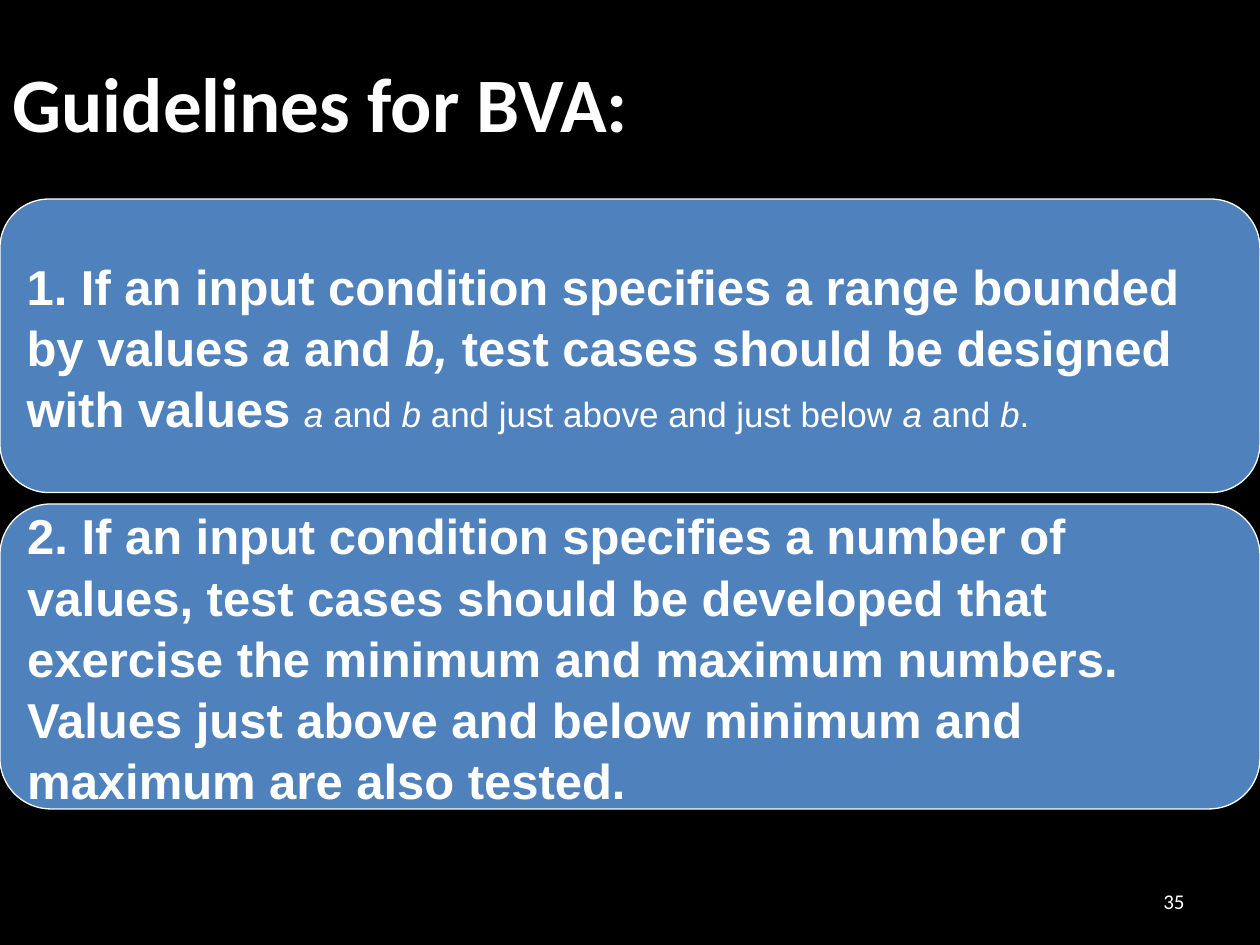
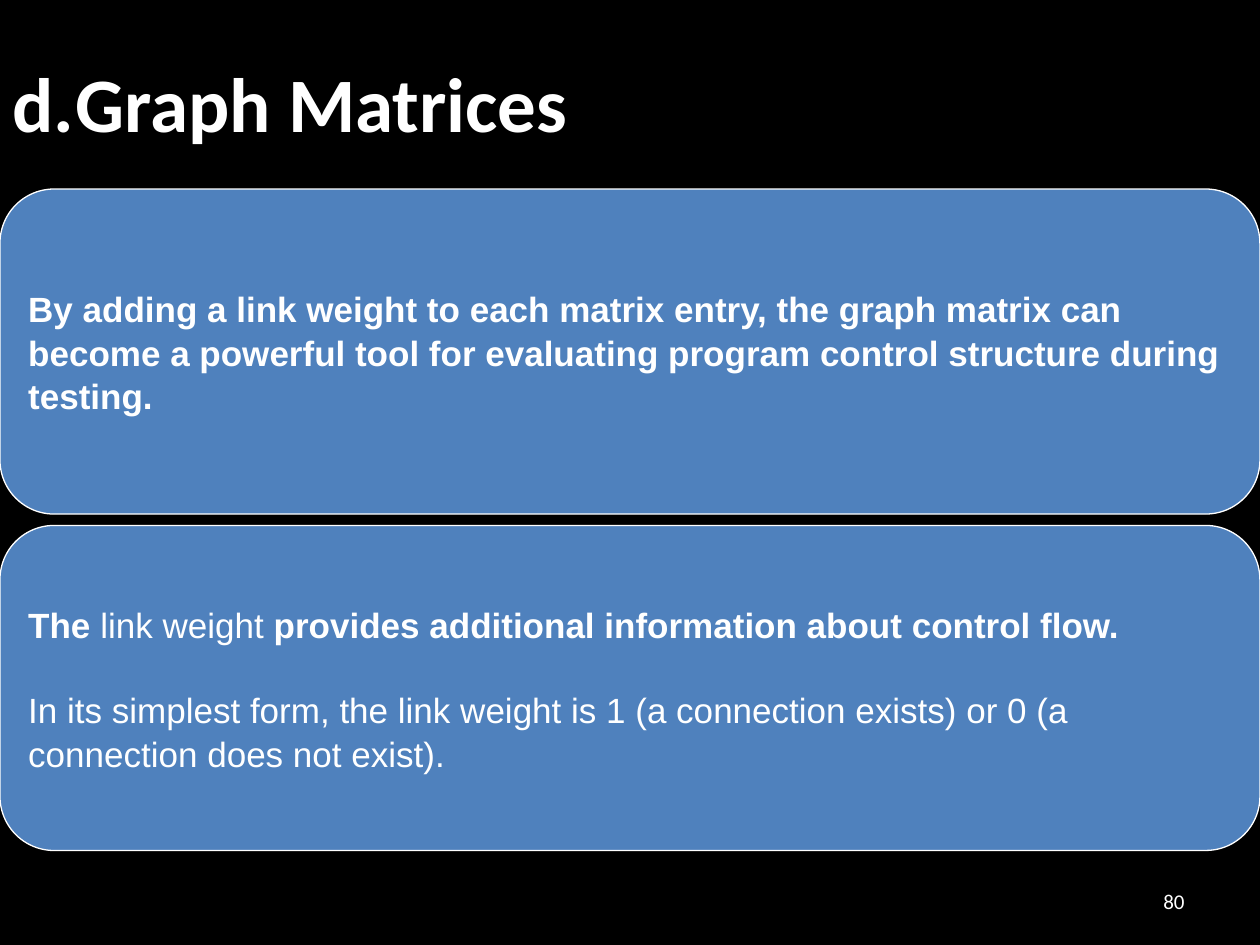
from dataclasses import dataclass

from pptx import Presentation
from pptx.dml.color import RGBColor
from pptx.enum.shapes import MSO_SHAPE
from pptx.enum.text import MSO_ANCHOR, PP_ALIGN
from pptx.util import Inches, Pt


@dataclass(frozen=True)
class Theme:
    """Colours, fonts and type sizes shared by the slides."""
    background: RGBColor = RGBColor(0x00, 0x00, 0x00)
    card: RGBColor = RGBColor(0x4F, 0x81, 0xBD)
    text: RGBColor = RGBColor(0xFF, 0xFF, 0xFF)
    heading_font: str = "Calibri"
    body_font: str = "Arial"
    title_size: int = 44
    large_size: int = 28
    body_size: int = 20
    number_size: int = 12
    line_spacing: float = 1.04
    paragraph_gap: int = 24


THEME = Theme()
TITLE_ONLY_LAYOUT = 5
CARD_COLUMNS = 120
CARD_GAP = 1


def grid(units):
    """Return the length of a number of grid units, twelve to the inch."""
    return Inches(round(units / 12, 2))


def place(shape, left, top, width, height):
    """Move and size a shape in grid units."""
    shape.left, shape.top = grid(left), grid(top)
    shape.width, shape.height = grid(width), grid(height)


def add_text(paragraph, text, font=THEME.body_font, size=THEME.body_size, bold=False, italic=False):
    """Append one formatted run to a paragraph."""
    run = paragraph.add_run()
    run.text = text
    run.font.name = font
    run.font.size = Pt(size)
    run.font.bold = bold
    run.font.italic = italic
    run.font.color.rgb = THEME.text


def add_title(slide, text):
    """Fill the title placeholder with a left-aligned heading."""
    title = slide.shapes.title
    place(title, 0, 0, 102, 19.3)
    frame = title.text_frame
    frame.vertical_anchor = MSO_ANCHOR.MIDDLE
    paragraph = frame.paragraphs[0]
    paragraph.alignment = PP_ALIGN.LEFT
    add_text(paragraph, text, font=THEME.heading_font, size=THEME.title_size, bold=True)


def add_page_number(slide, number):
    """Put the page number at the lower right."""
    box = slide.shapes.add_textbox(0, 0, 0, 0)
    place(box, 86, 83.4, 28, 4.8)
    frame = box.text_frame
    frame.word_wrap = True
    frame.vertical_anchor = MSO_ANCHOR.MIDDLE
    paragraph = frame.paragraphs[0]
    paragraph.alignment = PP_ALIGN.RIGHT
    add_text(paragraph, str(number), font=THEME.heading_font, size=THEME.number_size)


def add_card(slide, top, height, paragraphs):
    """Draw a full-width rounded card holding paragraphs of formatted runs."""
    card = slide.shapes.add_shape(MSO_SHAPE.ROUNDED_RECTANGLE, 0, 0, 0, 0)
    place(card, 0, top, CARD_COLUMNS, height)
    card.shadow.inherit = False
    card.fill.solid()
    card.fill.fore_color.rgb = THEME.card
    card.line.color.rgb = THEME.text
    card.line.width = Pt(0.75)
    frame = card.text_frame
    frame.word_wrap = True
    frame.vertical_anchor = MSO_ANCHOR.MIDDLE
    for index, runs in enumerate(paragraphs):
        paragraph = frame.add_paragraph() if index else frame.paragraphs[0]
        paragraph.alignment = PP_ALIGN.LEFT
        paragraph.line_spacing = THEME.line_spacing
        if index:
            paragraph.space_before = Pt(THEME.paragraph_gap)
        for text, style in runs:
            add_text(paragraph, text, **style)


def add_card_slide(presentation, title, number, top, cards):
    """Add a slide with a title, a page number and stacked cards."""
    slide = presentation.slides.add_slide(presentation.slide_layouts[TITLE_ONLY_LAYOUT])
    add_title(slide, title)
    add_page_number(slide, number)
    for height, paragraphs in cards:
        add_card(slide, top, height, paragraphs)
        top += height + CARD_GAP


def main():
    """Build and save the presentation."""
    presentation = Presentation()
    presentation.slide_width, presentation.slide_height = Inches(10), Inches(7.5)
    background = presentation.slide_master.background.fill
    background.solid()
    background.fore_color.rgb = THEME.background

    plain = {}
    bold = {"bold": True}
    italic = {"italic": True}
    large = {"bold": True, "size": THEME.large_size}
    large_italic = {**large, **italic}

    range_rule = [
        ("1. If an input condition specifies a range bounded by values ", large),
        ("a ", large_italic), ("and ", large), ("b, ", large_italic),
        ("test cases should be designed with values ", large),
        ("a ", italic), ("and ", plain), ("b ", italic),
        ("and just above and just below ", plain),
        ("a ", italic), ("and ", plain), ("b", italic), (".", plain),
    ]
    count_rule = [
        ("2. If an input condition specifies a number of values, test cases should be "
         "developed that exercise the minimum and maximum numbers. Values just above "
         "and below minimum and maximum are also tested.", large),
    ]
    add_card_slide(presentation, "Guidelines for BVA:", 35, 19,
                   [(28, [range_rule]), (29, [count_rule])])

    matrix_use = [
        ("By adding a link weight to each matrix entry, the graph matrix can become a "
         "powerful tool for evaluating program control structure during testing.", bold),
    ]
    weight_role = [
        ("The ", bold), ("link weight", plain),
        (" provides additional information about control flow.", bold),
    ]
    weight_values = [
        ("In its simplest form, the link weight is 1 (a connection exists) or 0 "
         "(a connection does not exist).", plain),
    ]
    add_card_slide(presentation, "d.\tGraph Matrices", 80, 18,
                   [(31, [matrix_use]), (31, [weight_role, weight_values])])

    presentation.save("out.pptx")


if __name__ == "__main__":
    main()
